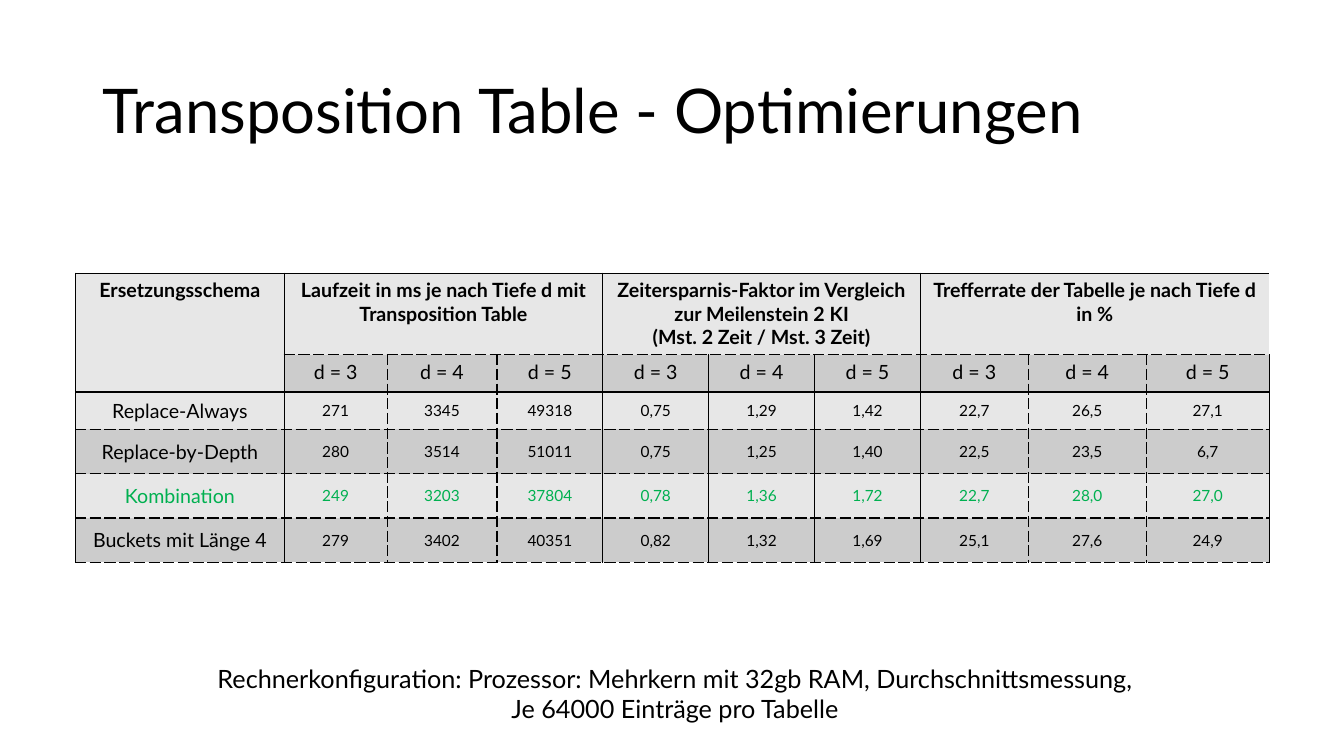
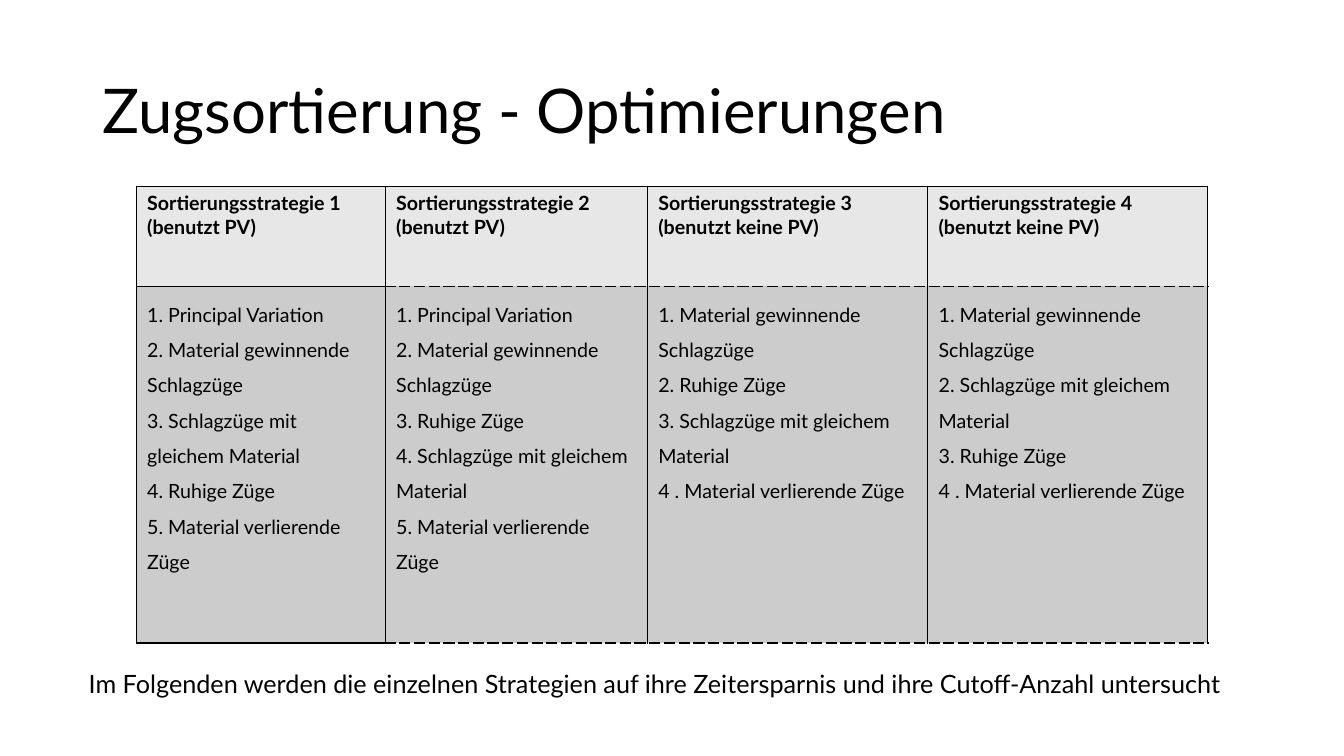
from dataclasses import dataclass
from typing import Callable, Optional

from lxml.etree import SubElement
from pptx import Presentation
from pptx.dml.color import RGBColor
from pptx.enum.text import MSO_ANCHOR as ANCHOR, PP_ALIGN as ALIGN
from pptx.oxml.ns import qn
from pptx.util import Inches, Pt

COLORS = {"text": "000000", "line": "000000", "light": "E7E7E7",
          "dark": "CCCCCC", "best": "00B050"}
FONT = "Lato"
SOLID, DASH = "solid", "sysDash"
TABLE_FLAGS = {"first_row": False, "horz_banding": False}
MARGINS = {"margin_left": 0.11, "margin_right": 0.11,
           "margin_top": 0.05, "margin_bottom": 0.05}

# An edge rule takes (edge, row or column) and gives the dash style
EdgeRule = Callable[[int, int], Optional[str]]


@dataclass
class TextStyle:
    size: float
    bold: bool = False
    color: str = "text"
    align: ALIGN = ALIGN.LEFT
    spacing: Optional[float] = None
    anchor: ANCHOR = ANCHOR.TOP


@dataclass
class Grid:
    left: float
    top: float
    cols: list[float]
    rows: list[float]
    cells: list[list[str]]
    merges: list[tuple[int, int, int, int]]
    style: Callable[[int, int], TextStyle]
    h_edge: EdgeRule
    v_edge: EdgeRule


@dataclass
class Page:
    title: str
    grid: Grid
    note: str
    note_left: float
    note_top: float


TITLE = TextStyle(44, spacing=0.9, anchor=ANCHOR.MIDDLE)
NOTE = TextStyle(18, align=ALIGN.CENTER)


# Text
def write(tf, text: str, style: TextStyle) -> None:
    for i, line in enumerate(text.split("\n")):
        p = tf.paragraphs[0] if i == 0 else tf.add_paragraph()
        p.alignment = style.align
        if style.spacing:
            p.line_spacing = style.spacing
        r = p.add_run()
        r.text = line
        font_format = {"name": FONT, "size": Pt(style.size), "bold": style.bold}
        for name, value in font_format.items():
            setattr(r.font, name, value)
        r.font.color.rgb = RGBColor.from_string(COLORS[style.color])


# Tables
def add_border(cell, side: str, dash: Optional[str]) -> None:
    ln = SubElement(cell._tc.get_or_add_tcPr(), qn(f"a:ln{side}"), w=str(Pt(1)))
    if dash is None:
        SubElement(ln, qn("a:noFill"))
        return
    fill = SubElement(ln, qn("a:solidFill"))
    SubElement(fill, qn("a:srgbClr"), val=COLORS["line"])
    SubElement(ln, qn("a:prstDash"), val=dash)


def add_grid(slide, grid: Grid) -> None:
    table = slide.shapes.add_table(
        len(grid.rows), len(grid.cols), Inches(grid.left), Inches(grid.top),
        Inches(sum(grid.cols)), Inches(sum(grid.rows))).table
    for name, value in TABLE_FLAGS.items():
        setattr(table, name, value)
    for column, width in zip(table.columns, grid.cols):
        column.width = Inches(width)
    for row, height in zip(table.rows, grid.rows):
        row.height = Inches(height)
    for r1, c1, r2, c2 in grid.merges:
        table.cell(r1, c1).merge(table.cell(r2, c2))

    for i, row in enumerate(grid.cells):
        for j, text in enumerate(row):
            cell = table.cell(i, j)
            edges = {"L": grid.v_edge(j, i), "R": grid.v_edge(j + 1, i),
                     "T": grid.h_edge(i, j), "B": grid.h_edge(i + 1, j)}
            for side, dash in edges.items():
                add_border(cell, side, dash)
            cell.fill.solid()
            shade = "dark" if i % 2 else "light"
            cell.fill.fore_color.rgb = RGBColor.from_string(COLORS[shade])
            for name, value in MARGINS.items():
                setattr(cell, name, Inches(value))
            style = grid.style(i, j)
            cell.vertical_anchor = style.anchor
            if text:
                write(cell.text_frame, text, style)


# Timing table: rules for text and lines
def timing_style(i: int, j: int) -> TextStyle:
    return TextStyle(14 if i < 2 or j == 0 else 11, bold=i == 0,
                     color="best" if i == 4 else "text", align=ALIGN.CENTER,
                     anchor=ANCHOR.TOP if i < 2 else ANCHOR.MIDDLE)


def timing_h_edge(edge: int, col: int) -> Optional[str]:
    if edge == 1 and col == 0:
        return None
    return SOLID if edge in (0, 2) else DASH


def timing_v_edge(edge: int, row: int) -> Optional[str]:
    if row == 0 and edge > 1 and edge % 3 != 1:
        return None
    return DASH if edge in (2, 3, 8, 9) else SOLID


# Strategy table: rules for text and lines
def strategy_style(i: int, j: int) -> TextStyle:
    return TextStyle(14, bold=i == 0, spacing=1.5 if i else None)


def strategy_h_edge(edge: int, col: int) -> Optional[str]:
    return DASH if edge and col else SOLID


def strategy_v_edge(edge: int, row: int) -> Optional[str]:
    return SOLID


# Content
TIMINGS = Grid(
    0.75, 2.71,
    [2.07, 1.02, 1.09, 1.05, 1.05, 1.05, 1.05, 1.07, 1.17, 1.22],
    [0.81, 0.37, 0.37, 0.44, 0.44, 0.44],
    [
        ["Ersetzungsschema",
         "Laufzeit in ms je nach Tiefe d mit Transposition Table", "", "",
         "Zeitersparnis-Faktor im Vergleich zur Meilenstein 2 KI\n"
         "(Mst. 2 Zeit / Mst. 3 Zeit)", "", "",
         "Trefferrate der Tabelle je nach Tiefe d in %", "", ""],
        [""] + ["d = 3", "d = 4", "d = 5"] * 3,
        ["Replace-Always", "271", "3345", "49318", "0,75", "1,29", "1,42",
         "22,7", "26,5", "27,1"],
        ["Replace-by-Depth", "280", "3514", "51011", "0,75", "1,25", "1,40",
         "22,5", "23,5", "6,7"],
        ["Kombination", "249", "3203", "37804", "0,78", "1,36", "1,72",
         "22,7", "28,0", "27,0"],
        ["Buckets mit Länge 4", "279", "3402", "40351", "0,82", "1,32", "1,69",
         "25,1", "27,6", "24,9"],
    ],
    [(0, 0, 1, 0)] + [(0, c, 0, c + 2) for c in (1, 4, 7)],
    timing_style, timing_h_edge, timing_v_edge)

STRATEGIES = Grid(
    1.35, 1.85, [2.47, 2.6, 2.78, 2.78], [0.99, 3.54],
    [
        ["Sortierungsstrategie 1 (benutzt PV)",
         "Sortierungsstrategie 2 (benutzt PV)",
         "Sortierungsstrategie 3 (benutzt keine PV)",
         "Sortierungsstrategie 4 (benutzt keine PV)"],
        ["1. Principal Variation\n2. Material gewinnende Schlagzüge\n"
         "3. Schlagzüge mit gleichem Material\n4. Ruhige Züge\n"
         "5. Material verlierende Züge",
         "1. Principal Variation\n2. Material gewinnende Schlagzüge\n"
         "3. Ruhige Züge\n4. Schlagzüge mit gleichem Material\n"
         "5. Material verlierende Züge",
         "1. Material gewinnende Schlagzüge\n2. Ruhige Züge\n"
         "3. Schlagzüge mit gleichem Material\n4 . Material verlierende Züge",
         "1. Material gewinnende Schlagzüge\n"
         "2. Schlagzüge mit gleichem Material\n3. Ruhige Züge\n"
         "4 . Material verlierende Züge"],
    ],
    [], strategy_style, strategy_h_edge, strategy_v_edge)

PAGES = [
    Page("Transposition Table - Optimierungen", TIMINGS,
         "Rechnerkonfiguration: Prozessor: Mehrkern mit 32gb RAM, "
         "Durchschnittsmessung,\nJe 64000 Einträge pro Tabelle", 0.81, 6.53),
    Page("Zugsortierung - Optimierungen", STRATEGIES,
         "Im Folgenden werden die einzelnen Strategien auf ihre Zeitersparnis "
         "und ihre Cutoff-Anzahl untersucht ", 0.64, 6.58),
]


# Slides
def add_page(prs, page: Page) -> None:
    slide = prs.slides.add_slide(prs.slide_layouts[5])
    title = slide.shapes.title
    box = {"left": 0.92, "top": 0.4, "width": 11.5, "height": 1.45}
    for name, value in box.items():
        setattr(title, name, Inches(value))
    title.text_frame.vertical_anchor = TITLE.anchor
    write(title.text_frame, page.title, TITLE)

    add_grid(slide, page.grid)

    note = slide.shapes.add_textbox(Inches(page.note_left), Inches(page.note_top),
                                    Inches(11.77), Inches(0.71))
    note.text_frame.word_wrap = True
    write(note.text_frame, page.note, NOTE)


def main() -> None:
    prs = Presentation()
    prs.slide_width, prs.slide_height = Inches(13.33), Inches(7.5)
    for page in PAGES:
        add_page(prs, page)
    prs.save("out.pptx")


if __name__ == "__main__":
    main()
